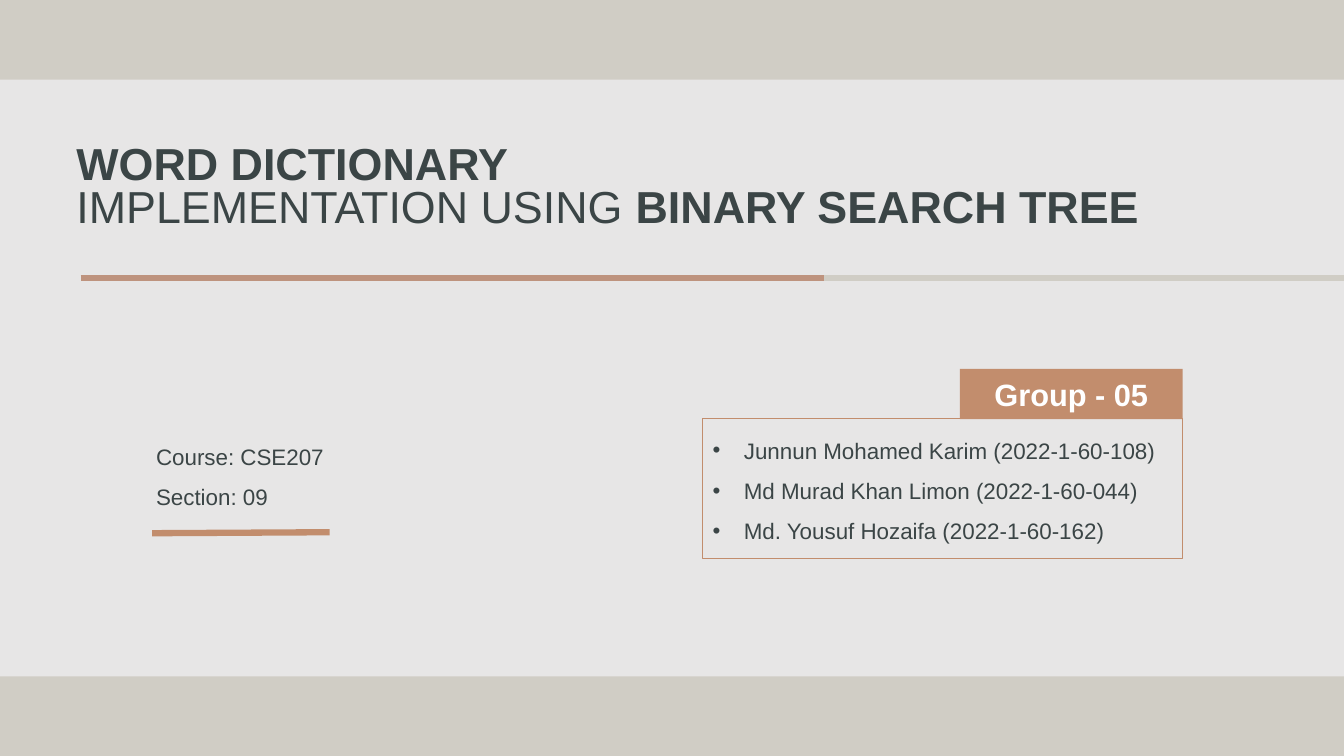
from lxml import etree
from pptx import Presentation
from pptx import util as u
from pptx.dml.color import RGBColor
from pptx.enum import shapes, text
from pptx.oxml import ns

WIDTH, HEIGHT = 13.33, 7.5
COLOURS = {"sand": "D0CDC5", "paper": "E7E6E6", "clay": "C28D6D",
           "rose": "BE937E", "ink": "3B4546", "white": "FFFFFF"}

# Each paragraph is a list of (words, bold) runs.
TITLE = [[("WORD DICTIONARY", True)],
         [("IMPLEMENTATION USING ", False), ("BINARY SEARCH TREE", True)]]
GROUP = [[("Group - 05", True)]]
MEMBERS = [[(member, False)] for member in (
    "Junnun Mohamed Karim (2022-1-60-108)",
    "Md Murad Khan Limon (2022-1-60-044)",
    "Md. Yousuf Hozaifa (2022-1-60-162)")]
COURSE = [[("Course: CSE207", False)], [("Section: 09", False)]]

# Page grid
BAND = 0.79
RULE_Y, RULE_LEFT, RULE_SPLIT = 2.76, 0.8, 8.17
CARD_LEFT, CARD_TOP, CARD_W, CARD_H = 6.97, 4.15, 4.76, 1.39
TAB_W, TAB_H = 2.21, 0.5
TAB_LEFT, TAB_TOP = CARD_LEFT + CARD_W - TAB_W, CARD_TOP - TAB_H + 0.01
RULES = [(RULE_SPLIT, RULE_Y, WIDTH, RULE_Y, "sand"),
         (RULE_LEFT, RULE_Y, RULE_SPLIT, RULE_Y, "rose"),
         (1.51, 5.29, 3.27, 5.28, "clay")]

deck = Presentation()
deck.slide_width, deck.slide_height = u.Inches(WIDTH), u.Inches(HEIGHT)
slide = deck.slides.add_slide(deck.slide_layouts[6])


def colour(name):
    return RGBColor.from_string(COLOURS[name])


def add_box(left, top, width, height, fill=None, line=None):
    box = slide.shapes.add_shape(shapes.MSO_SHAPE.RECTANGLE,
                                 *map(u.Inches, (left, top, width, height)))
    box.shadow.inherit = False
    if fill:
        box.fill.solid()
        box.fill.fore_color.rgb = colour(fill)
    else:
        box.fill.background()
    if line:
        box.line.color.rgb = colour(line)
        box.line.width = u.Pt(1)
    else:
        box.line.fill.background()
    return box


def add_rule(x1, y1, x2, y2, tint):
    rule = slide.shapes.add_connector(shapes.MSO_CONNECTOR.STRAIGHT,
                                      *map(u.Inches, (x1, y1, x2, y2)))
    rule.line.color.rgb = colour(tint)
    rule.line.width = u.Pt(4.5)
    etree.SubElement(rule._element.spPr, ns.qn("a:effectLst"))


def add_bullet(paragraph, indent=0.31):
    props = paragraph._p.get_or_add_pPr()
    props.set("marL", str(u.Inches(indent)))
    props.set("indent", str(-u.Inches(indent)))
    etree.SubElement(props, ns.qn("a:buFont")).set("typeface", "Arial")
    etree.SubElement(props, ns.qn("a:buChar")).set("char", "•")


def write(box, paragraphs, size=16, tint="ink", spacing=1.5, bullets=False,
          align=text.PP_ALIGN.LEFT, anchor=text.MSO_ANCHOR.TOP):
    frame = box.text_frame
    frame.word_wrap = True
    frame.vertical_anchor = anchor
    for index, runs in enumerate(paragraphs):
        paragraph = frame.add_paragraph() if index else frame.paragraphs[0]
        paragraph.alignment = align
        paragraph.line_spacing = spacing
        if bullets:
            add_bullet(paragraph)
        for words, bold in runs:
            run = paragraph.add_run()
            run.text = words
            run.font.name = "Arial"
            run.font.size = u.Pt(size)
            run.font.bold = bold
            run.font.color.rgb = colour(tint)


def add_text(left, top, width, height, paragraphs, **style):
    box = slide.shapes.add_textbox(*map(u.Inches, (left, top, width, height)))
    write(box, paragraphs, **style)


slide.background.fill.solid()
slide.background.fill.fore_color.rgb = colour("sand")
add_box(0, BAND, WIDTH, HEIGHT - 2 * BAND, fill="paper")
for rule_ends in RULES:
    add_rule(*rule_ends)
add_text(0.66, 1.21, 11.5, 1.34, TITLE, size=32, spacing=0.8,
         anchor=text.MSO_ANCHOR.MIDDLE)
write(add_box(TAB_LEFT, TAB_TOP, TAB_W, TAB_H, fill="clay"), GROUP, size=22,
      tint="white", spacing=1, align=text.PP_ALIGN.CENTER,
      anchor=text.MSO_ANCHOR.MIDDLE)
write(add_box(CARD_LEFT, CARD_TOP, CARD_W, CARD_H, line="clay"), MEMBERS,
      bullets=True)
add_text(1.45, 4.21, 2.3, 1.15, COURSE)

deck.save("out.pptx")
